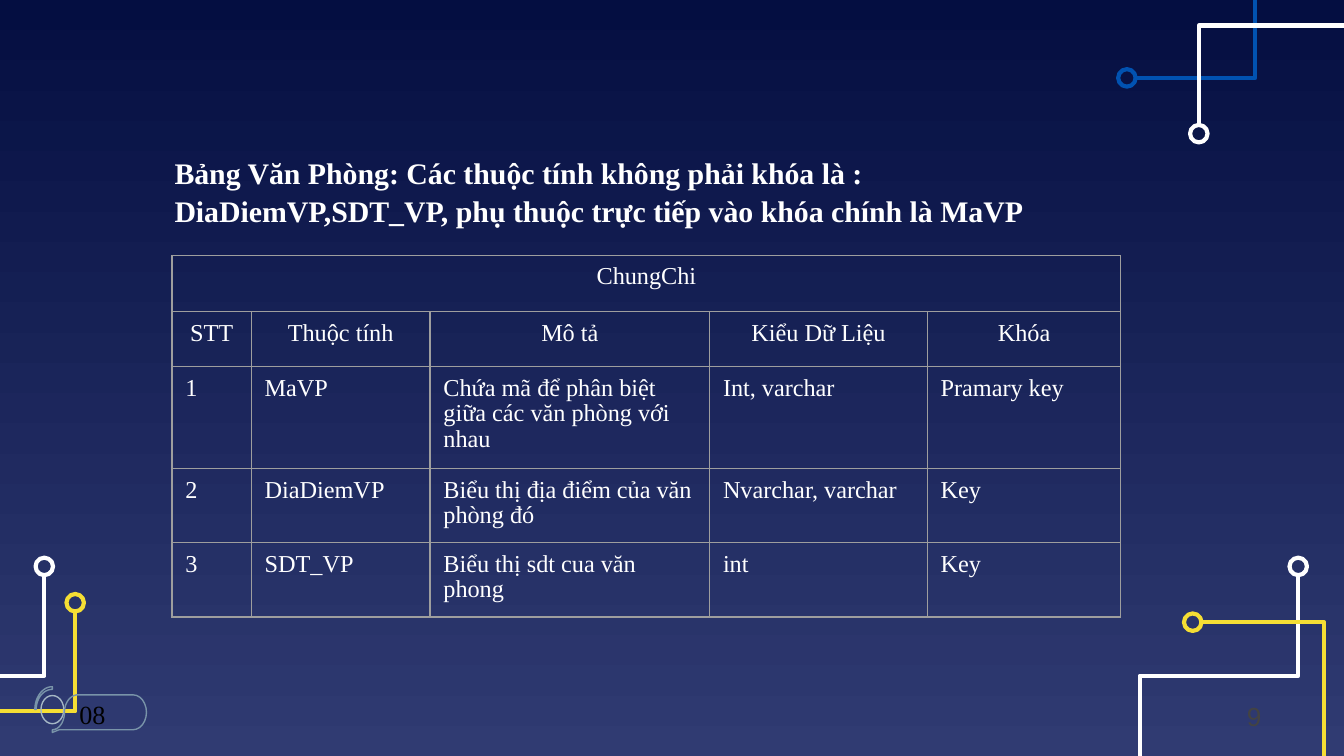
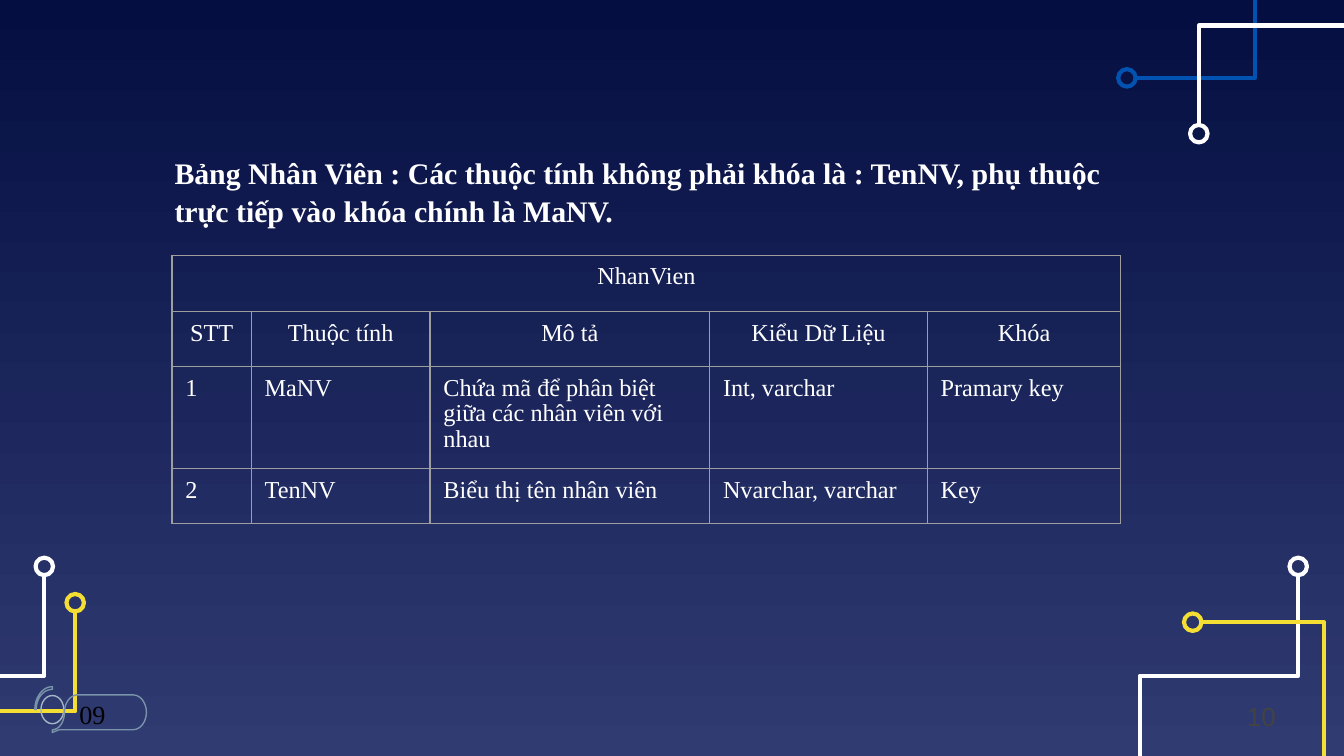
from math import cos, radians, sin

from lxml import etree
from pptx import Presentation
from pptx.dml.color import RGBColor
from pptx.enum.shapes import MSO_SHAPE
from pptx.enum.text import MSO_ANCHOR, PP_ALIGN
from pptx.oxml.ns import qn
from pptx.util import Inches, Pt

OVAL = MSO_SHAPE.OVAL
LEFT, MID = PP_ALIGN.LEFT, PP_ALIGN.CENTER
CENTER = MSO_ANCHOR.MIDDLE

HUES = {
    "top": "040E41", "base": "303B72", "white": "FFFFFF", "blue": "0152B1",
    "gold": "F5DE34", "steel": "7994A9", "mist": "A5B7C5", "rule": "9E9E9E",
    "black": "000000", "grey": "434343",
}
FONT = "Times New Roman"

# The slide is a grid of 100 columns by 56.25 rows, each cell 0.1 inch.
CELL = Inches(0.1)
COLS, ROWS = 100, 56.25

# Trace outlines, as shares of their box; each starts at its ring.
STEP = [(1, 0), (1, 0.52), (0, 0.52), (0, 1)]
RISE = [(0, 1), (0, 0.49), (1, 0.49), (1, 0)]
HOOK = [(0, 0), (1, 0), (1, 1)]
LIFT = [(0, 1), (1, 1), (1, 0)]
UP, DOWN, BACK = (0, -1), (0, 1), (-1, 0)

TRACES = [
    ((84.8, 42.8, 11.8, 14.4), STEP, UP, "white"),
    ((84.5, -5.2, 8.9, 11), LIFT, BACK, "blue"),
    ((89.2, -5.2, 11.9, 14.5), RISE, DOWN, "white"),
    ((89.4, 46.3, 9.1, 10.8), HOOK, BACK, "gold"),
    ((-8.6, 42.8, 11.9, 14.4), STEP, UP, "white"),
    ((-6.3, 45.5, 11.9, 14.3), STEP, UP, "gold"),
]
RING = 1.3

TITLE = (12, 10.9, 73.9)
GRID = (12.8, 19, 70.6)
BADGE = (2.6, 51.1, 8.3, 3.4)
PAGE = (91.8, 51.6, 6, 3.4)
WIDTHS = [5.9, 13.3, 20.8, 16.2, 14.4]
HEAD, BODY = 4.2, 4.1
HEADS = ["STT", "Thuộc tính", "Mô tả", "Kiểu Dữ Liệu", "Khóa"]

SLIDES = [
    dict(
        title="Bảng Văn Phòng: Các thuộc tính không phải khóa là : "
              "DiaDiemVP,SDT_VP, phụ thuộc trực tiếp vào khóa chính là MaVP",
        tall=8.8, name="ChungChi", mark="08", page="9",
        rows=[
            ["1", "MaVP", "Chứa mã để phân biệt giữa các văn phòng với nhau",
             "Int, varchar", "Pramary key"],
            ["2", "DiaDiemVP", "Biểu thị địa điểm của văn phòng đó",
             "Nvarchar, varchar", "Key"],
            ["3", "SDT_VP", "Biểu thị sdt cua văn phong", "int", "Key"],
        ],
    ),
    dict(
        title="Bảng Nhân Viên : Các thuộc tính không phải khóa là : TenNV, "
              "phụ thuộc trực tiếp vào khóa chính là MaNV.",
        tall=6.4, name="NhanVien", mark="09", page="10",
        rows=[
            ["1", "MaNV", "Chứa mã để phân biệt giữa các nhân viên với nhau",
             "Int, varchar", "Pramary key"],
            ["2", "TenNV", "Biểu thị tên nhân viên", "Nvarchar, varchar", "Key"],
        ],
    ),
]


def hue(name):
    return RGBColor.from_string(HUES[name])


def emu(*cells):
    return [round(c * CELL) for c in cells]


def style(shape, tone, weight):
    """Leave only a coloured outline."""
    shape.shadow.inherit = False
    shape.fill.background()
    shape.line.color.rgb = hue(tone)
    shape.line.width = Pt(weight)
    return shape


def outline(slide, spots, tone, weight, close=False):
    first, *rest = [emu(*s) for s in spots]
    path = slide.shapes.build_freeform(*first)
    path.add_line_segments(rest, close=close)
    return style(path.convert_to_shape(), tone, weight)


def oval(slide, box, tone, weight):
    style(slide.shapes.add_shape(OVAL, *emu(*box)), tone, weight)


def write(frame, text, size, tone, bold=False, align=LEFT, lead=1.0, font=FONT):
    para = frame.paragraphs[0]
    para.text = text
    para.alignment = align
    para.line_spacing = lead
    para.font.name = font
    para.font.size = Pt(size)
    para.font.bold = bold
    para.font.color.rgb = hue(tone)


def arc(cx, cy, rx, ry, start, end, steps=12):
    """Points along an ellipse, clockwise in degrees from the right."""
    turns = [radians(start + (end - start) * i / steps) for i in range(steps + 1)]
    return [(cx + rx * cos(t), cy + ry * sin(t)) for t in turns]


def backdrop(slide):
    fill = slide.background.fill
    fill.gradient()
    fill.gradient_angle = 270
    for stop, name in zip(fill.gradient_stops, ("top", "base")):
        stop.color.rgb = hue(name)


def trace(slide, box, form, way, tone):
    """A circuit line with a ring at its first point."""
    x, y, w, h = box
    spots = [(x + w * a, y + h * b) for a, b in form]
    outline(slide, spots, tone, 2.25)
    px, py = spots[0]
    left, top = [p + d * RING / 2 - RING / 2 for p, d in zip((px, py), way)]
    oval(slide, (left, top, RING, RING), tone, 2.25)


def heading(slide, box, text):
    frame = slide.shapes.add_textbox(*emu(*box)).text_frame
    frame.word_wrap = True
    write(frame, text, 16, "white", bold=True, lead=1.05)


def border(cell):
    props = cell._tc.get_or_add_tcPr()
    for i, side in enumerate(("lnL", "lnR", "lnT", "lnB")):
        line = etree.Element(qn("a:" + side), w=str(Pt(0.75)))
        fill = etree.SubElement(line, qn("a:solidFill"))
        etree.SubElement(fill, qn("a:srgbClr"), val=HUES["rule"])
        props.insert(i, line)


def fields(slide, box, name, rows):
    """The attribute table: name row, column heads, then one row per field."""
    lines = [[name] + [""] * (len(HEADS) - 1), HEADS, *rows]
    high = HEAD + BODY * (len(lines) - 1)
    table = slide.shapes.add_table(
        len(lines), len(HEADS), *emu(*box, high)).table
    table.first_row = table.horz_banding = False
    for col, wide in zip(table.columns, WIDTHS):
        col.width = emu(wide)[0]
    for r, line in enumerate(lines):
        table.rows[r].height = emu(BODY if r else HEAD)[0]
        for c, text in enumerate(line):
            cell = table.cell(r, c)
            cell.margin_top = cell.margin_bottom = Inches(0.07)
            cell.fill.background()
            border(cell)
            write(cell.text_frame, text, 13, "white",
                  align=MID if r < 2 else LEFT, lead=0.95)
    table.cell(0, 0).merge(table.cell(0, len(HEADS) - 1))


def badge(slide, box, mark):
    x, y, w, h = box
    hub, mid, low = x + 1.3, y + 1.7, y + 1.9
    end = x + w - 1
    outline(slide, arc(hub, mid, 1.3, 1.7, 270, 180)
            + arc(hub, mid, 1.2, 1.5, 180, 270), "steel", 0.75, close=True)
    oval(slide, (hub - 0.85, mid - 1.05, 1.7, 2.1), "mist", 0.75)
    tab = outline(
        slide,
        arc(x + 3.2, low, 1, 1.3, 270, 180)
        + arc(hub, low, 0.9, 1.3, 0, 90)
        + [(hub, y + h), (hub + 0.5, low + 1.3)]
        + arc(end, low, 1, 1.3, 90, -90),
        "steel", 0.75, close=True)
    frame = tab.text_frame
    frame.vertical_anchor = CENTER
    frame.margin_left = Inches(0.2)
    frame.margin_top = frame.margin_bottom = 0
    write(frame, mark, 14, "black")


def number(slide, box, text):
    frame = slide.shapes.add_textbox(*emu(*box)).text_frame
    frame.word_wrap = True
    frame.vertical_anchor = CENTER
    write(frame, text, 14, "grey", font="Arial")


def build(deck, data):
    slide = deck.slides.add_slide(deck.slide_layouts[6])
    backdrop(slide)
    for item in TRACES:
        trace(slide, *item)
    heading(slide, (*TITLE, data["tall"]), data["title"])
    fields(slide, GRID, data["name"], data["rows"])
    badge(slide, BADGE, data["mark"])
    number(slide, PAGE, data["page"])


def main():
    deck = Presentation()
    deck.slide_width, deck.slide_height = emu(COLS, ROWS)
    for data in SLIDES:
        build(deck, data)
    deck.save("out.pptx")


if __name__ == "__main__":
    main()
